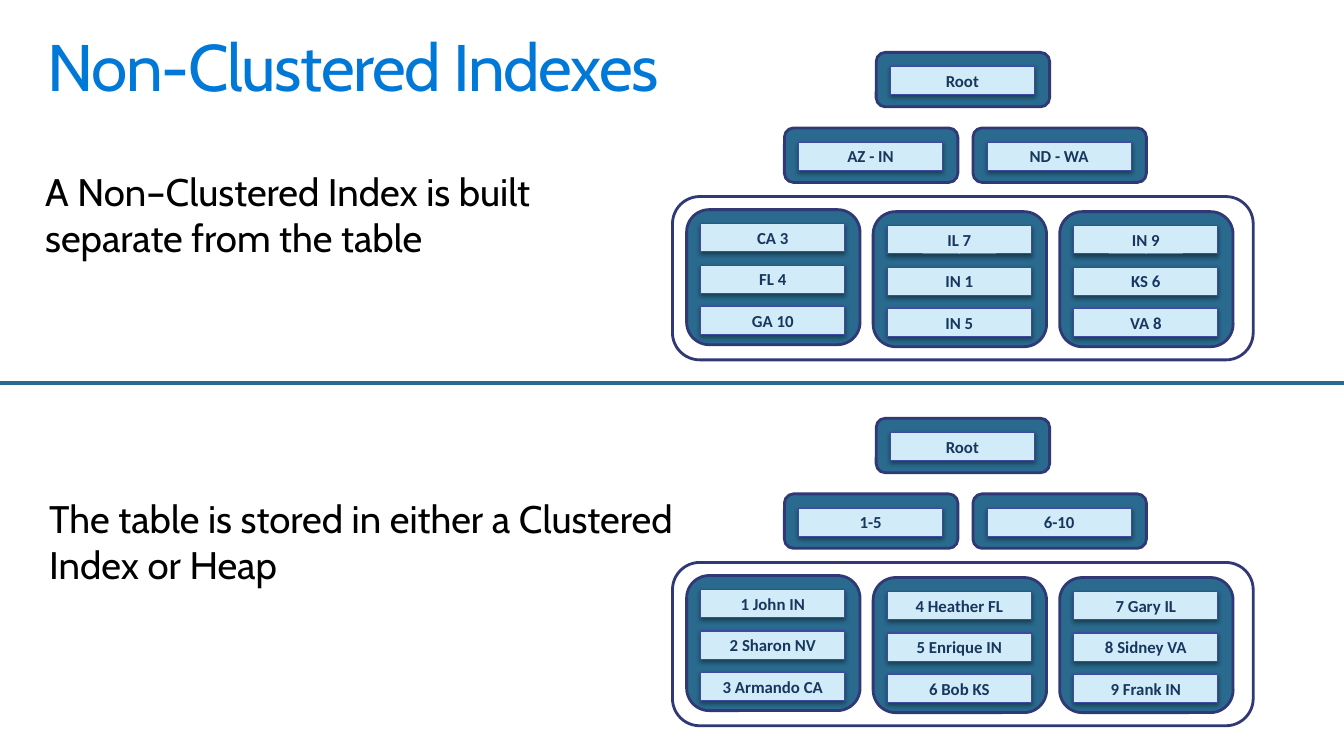
from dataclasses import dataclass

from lxml.etree import SubElement
from pptx import Presentation
from pptx.dml.color import RGBColor
from pptx.enum.shapes import MSO_CONNECTOR as Connector, MSO_SHAPE as Preset
from pptx.enum.text import MSO_ANCHOR as Anchor, MSO_AUTO_SIZE as AutoSize, PP_ALIGN as Align
from pptx.oxml.ns import qn
from pptx.util import Inches, Pt

TITLE = "Non-Clustered Indexes"
STATEMENTS = [
    ("A Non–Clustered Index is built separate from the table", (0.35, 1.62, 6.41, 1.02)),
    ("The table is stored in either a Clustered Index or Heap", (0.39, 4.86, 6.7, 1.02)),
]
TREES = [
    {
        "root": "Root",
        "branches": ["AZ - IN", "ND - WA"],
        "leaves": [["CA 3", "FL 4", "GA 10"], ["IL 7", "IN 1", "IN 5"], ["IN 9", "KS 6", "VA 8"]],
    },
    {
        "root": "Root",
        "branches": ["1-5", "6-10"],
        "leaves": [
            ["1 John IN", "2 Sharon NV", "3 Armando CA"],
            ["4 Heather FL", "5 Enrique IN", "6 Bob KS"],
            ["7 Gary IL", "8 Sidney VA", "9 Frank IN"],
        ],
    },
]

TREE_TOP, TREE_STEP = 0.52, 3.63
NODE_WIDTH, NODE_HEIGHT, LEAF_HEIGHT = 1.72, 0.54, 1.34
PLATE_WIDTH, PLATE_HEIGHT, PLATE_INSET, PLATE_STEP = 1.43, 0.28, 0.14, 0.41
ROOT_LEFT = 8.69
BRANCH_LEFT, BRANCH_STEP, BRANCH_DROP = 7.78, 1.87, 0.75
LEAF_LEFT, LEAF_STEP, LEAF_DROPS = 6.81, 1.85, (1.56, 1.58, 1.58)
FRAME_LEFT, FRAME_DROP, FRAME_WIDTH, FRAME_HEIGHT = 6.67, 1.43, 5.76, 1.62


@dataclass(frozen=True)
class Theme:
    """Colours, fonts and type sizes of the slide."""

    title: str = "0078D7"
    text: str = "000000"
    node: str = "296A8E"
    outline: str = "313876"
    plate: str = "D1EBF8"
    plate_edge: str = "3E499F"
    label: str = "17375E"
    frame: str = "FFFFFF"
    shadow: str = "000000"
    heading_font: str = "Cabin"
    label_font: str = "Calibri"
    title_size: float = 47
    text_size: float = 27.4
    label_size: float = 12


THEME = Theme()


def color(value):
    """Turn a hex string into a colour."""
    return RGBColor.from_string(value)


def place(box, left, top, width, height):
    """Move and size a box, in inches."""
    box.left, box.top, box.width, box.height = map(Inches, (left, top, width, height))


def style_font(font, name, size, value, bold=False):
    """Set the face, size, colour and weight of a font."""
    font.name, font.size, font.bold = name, Pt(size), bold
    font.color.rgb = color(value)


def add_box(shapes, preset, bounds, fill, edge, weight):
    """Add a filled, outlined preset shape."""
    box = shapes.add_shape(preset, *map(Inches, bounds))
    box.shadow.inherit = False
    box.fill.solid()
    box.fill.fore_color.rgb = color(fill)
    box.line.color.rgb = color(edge)
    box.line.width = Pt(weight)
    return box


def add_plate(shapes, label, left, top):
    """Add a labelled plate with a soft shadow below it."""
    bounds = (left, top, PLATE_WIDTH, PLATE_HEIGHT)
    plate = add_box(shapes, Preset.RECTANGLE, bounds, THEME.plate, THEME.plate_edge, 0.75)
    effects = plate._element.spPr.find(qn("a:effectLst"))
    shadow = SubElement(effects, qn("a:outerShdw"), blurRad=str(Pt(3.1)), dist=str(Pt(1.6)),
                        dir="5400000", rotWithShape="0")
    tint = SubElement(shadow, qn("a:srgbClr"), val=THEME.shadow)
    SubElement(tint, qn("a:alpha"), val="38000")
    frame = plate.text_frame
    frame.margin_left = frame.margin_right = Inches(0.07)
    frame.margin_top = frame.margin_bottom = Inches(0.04)
    frame.vertical_anchor = Anchor.MIDDLE
    para = frame.paragraphs[0]
    para.text = label
    para.alignment = Align.CENTER
    style_font(para.font, THEME.label_font, THEME.label_size, THEME.label, bold=True)


def add_node(shapes, labels, left, top, height=NODE_HEIGHT):
    """Add a rounded node that holds a column of plates."""
    bounds = (left, top, NODE_WIDTH, height)
    add_box(shapes, Preset.ROUNDED_RECTANGLE, bounds, THEME.node, THEME.outline, 2)
    for row, label in enumerate(labels):
        add_plate(shapes, label, left + PLATE_INSET, top + PLATE_INSET + row * PLATE_STEP)


def add_tree(page, tree, top):
    """Add an index tree: framed leaves, branches and a root."""
    shapes = page.shapes.add_group_shape().shapes
    bounds = (FRAME_LEFT, top + FRAME_DROP, FRAME_WIDTH, FRAME_HEIGHT)
    add_box(shapes, Preset.ROUNDED_RECTANGLE, bounds, THEME.frame, THEME.outline, 2)
    for column, (labels, drop) in enumerate(zip(tree["leaves"], LEAF_DROPS)):
        add_node(shapes, labels, LEAF_LEFT + column * LEAF_STEP, top + drop, LEAF_HEIGHT)
    for column, label in enumerate(tree["branches"]):
        add_node(shapes, [label], BRANCH_LEFT + column * BRANCH_STEP, top + BRANCH_DROP)
    add_node(shapes, [tree["root"]], ROOT_LEFT, top)


def add_title(page):
    """Fill and format the title placeholder."""
    title = page.shapes.title
    place(title, 0.31, 0.24, 12.75, 0.98)
    frame = title.text_frame
    frame.auto_size = AutoSize.NONE
    frame.vertical_anchor = Anchor.TOP
    frame.margin_left = frame.margin_right = Inches(0.16)
    frame.margin_top = frame.margin_bottom = Inches(0.1)
    para = frame.paragraphs[0]
    para.alignment = Align.LEFT
    para.line_spacing = 0.9
    span = para.add_run()
    span.text = TITLE
    style_font(span.font, THEME.heading_font, THEME.title_size, THEME.title)
    span.font._element.set("spc", "-100")


def add_statement(page, text, bounds):
    """Add a wrapped statement beside a tree."""
    box = page.shapes.add_textbox(*map(Inches, bounds))
    box.text_frame.word_wrap = True
    para = box.text_frame.paragraphs[0]
    para.text = text
    style_font(para.font, THEME.heading_font, THEME.text_size, THEME.text)


def add_divider(page, width):
    """Add the line between the two halves."""
    divider = page.shapes.add_connector(Connector.STRAIGHT, 0, Inches(3.8), width, Inches(3.8))
    divider.line.color.rgb = color(THEME.node)
    divider.line.width = Pt(3)
    SubElement(divider._element.spPr, qn("a:effectLst"))


def main():
    """Build and save the slide."""
    deck = Presentation()
    deck.slide_width, deck.slide_height = Inches(13.33), Inches(7.5)
    page = deck.slides.add_slide(deck.slide_layouts.get_by_name("Title Only"))
    add_title(page)
    add_divider(page, deck.slide_width)
    for text, bounds in STATEMENTS:
        add_statement(page, text, bounds)
    for index, tree in enumerate(TREES):
        add_tree(page, tree, TREE_TOP + index * TREE_STEP)
    deck.save("out.pptx")


if __name__ == "__main__":
    main()
